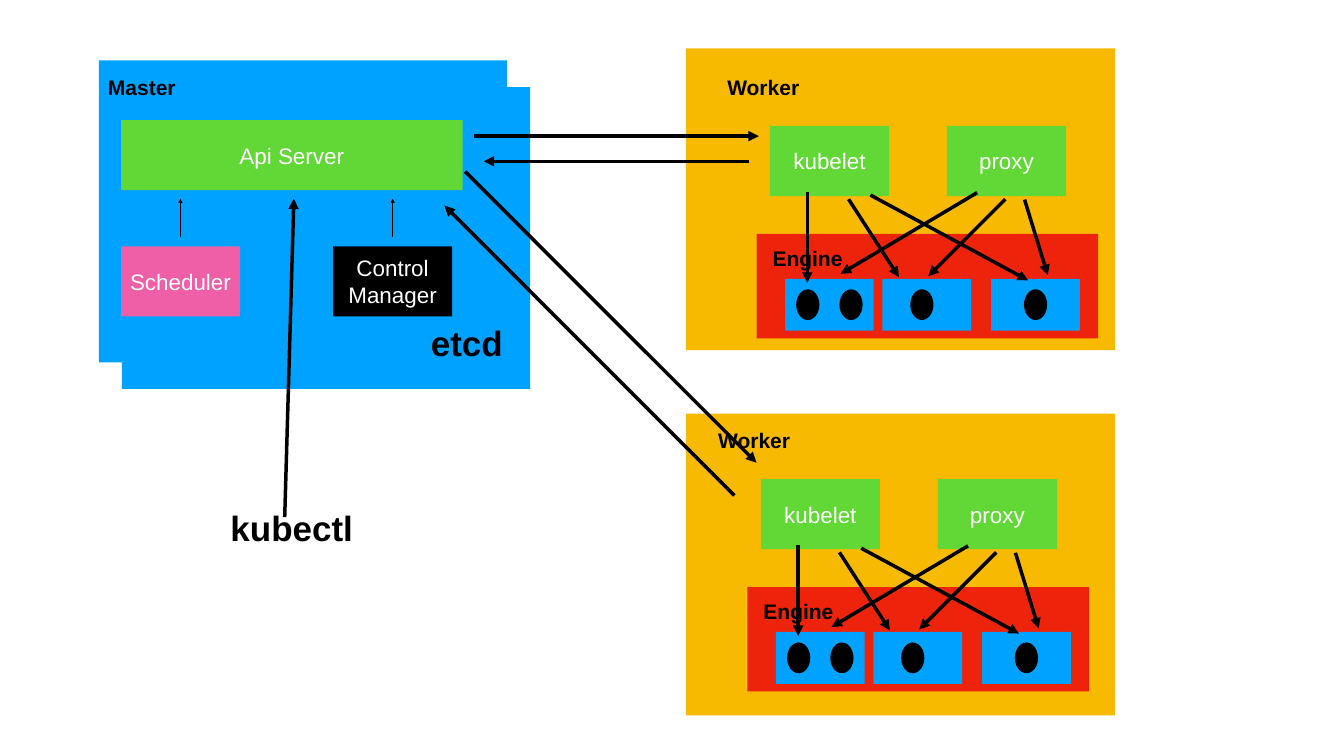
from dataclasses import dataclass

import pptx
import pptx.dml.color
import pptx.enum.shapes
import pptx.enum.text
import pptx.oxml
import pptx.oxml.ns
import pptx.util
from pptx.util import Cm

RGBColor = pptx.dml.color.RGBColor
BLUE = RGBColor(0x00, 0xA2, 0xFF)
AMBER = RGBColor(0xF7, 0xBA, 0x01)
GREEN = RGBColor(0x61, 0xD8, 0x36)
PINK = RGBColor(0xEF, 0x5F, 0xA7)
RED = RGBColor(0xEE, 0x23, 0x0C)
BLACK = RGBColor(0x00, 0x00, 0x00)
WHITE = RGBColor(0xFF, 0xFF, 0xFF)

RECTANGLE = pptx.enum.shapes.MSO_SHAPE.RECTANGLE
OVAL = pptx.enum.shapes.MSO_SHAPE.OVAL
FONT = "Arial"


@dataclass(frozen=True)
class Block:
    """A filled shape; lengths in centimetres."""
    left: float
    top: float
    width: float
    height: float
    fill: RGBColor
    text: str = ""
    outline: pptx.enum.shapes.MSO_SHAPE = RECTANGLE


@dataclass(frozen=True)
class Label:
    """Bold text; lengths in centimetres."""
    text: str
    left: float
    top: float
    width: float
    height: float = 1.55
    size: int = 30


@dataclass(frozen=True)
class Arrow:
    """A line with its head at the end point; lengths in centimetres."""
    x1: float
    y1: float
    x2: float
    y2: float
    weight: int = 5


@dataclass(frozen=True)
class Pod:
    left: float
    container_offsets: tuple[float, ...]


@dataclass(frozen=True)
class Worker:
    panel_top: float
    left: float
    top: float


COMPONENT_WIDTH, COMPONENT_HEIGHT = 6, 3.53
PANEL_HEIGHT = 15.21

MASTER_BLOCKS = [
    Block(6.15, 4.39, 20.57, PANEL_HEIGHT, BLUE),
    Block(4.98, 3.05, 20.57, PANEL_HEIGHT, BLUE),
    Block(6.1, 6.05, 17.22, COMPONENT_HEIGHT, GREEN, "Api Server"),
    Block(6.1, 12.42, COMPONENT_WIDTH, COMPONENT_HEIGHT, PINK, "Scheduler"),
    Block(16.79, 12.42, COMPONENT_WIDTH, COMPONENT_HEIGHT, BLACK, "Control\nManager"),
]
MASTER_LABELS = [
    Label("Master", 5.23, 3.61, 3.84),
    Label("etcd", 21.51, 16.05, 4.04, 2.39, 50),
    Label("kubectl", 11.43, 25.37, 6.55, 2.39, 50),
]
API_SERVER_ARROWS = [
    Arrow(9.09, 11.96, 9.09, 10.01, 2),
    Arrow(19.79, 11.96, 19.79, 10.01, 2),
    Arrow(14.35, 26.06, 14.81, 10.01),
    Arrow(37.74, 8.13, 24.38, 8.13),
    Arrow(23.88, 6.86, 38.25, 6.86),
    Arrow(23.44, 8.64, 38.13, 23.32),
    Arrow(37.01, 24.97, 22.4, 10.36),
]

WORKERS = [Worker(2.44, 36.5, 3.61), Worker(20.85, 36.04, 21.41)]
# Positions below are relative to the worker's label.
PODS = [Pod(3.07, (0.56, 2.74)), Pod(7.98, (1.4,)), Pod(13.46, (1.65,))]
POD_ARROWS = [
    Arrow(4.19, 6.07, 4.19, 10.64),
    Arrow(6.27, 6.43, 8.81, 10.36),
    Arrow(7.37, 6.22, 15.32, 10.52),
    Arrow(12.75, 6.1, 5.87, 10.19),
    Arrow(14.17, 6.43, 10.29, 10.31),
    Arrow(15.14, 6.45, 16.31, 10.26),
]


def write_text(frame, text: str, size: int, color: RGBColor, bold: bool, inset: float) -> None:
    frame.text = text
    frame.vertical_anchor = pptx.enum.text.MSO_ANCHOR.MIDDLE
    frame.margin_left = frame.margin_right = Cm(inset)
    frame.margin_top = frame.margin_bottom = Cm(inset)
    for paragraph in frame.paragraphs:
        paragraph.alignment = pptx.enum.text.PP_ALIGN.CENTER
        for run in paragraph.runs:
            run.font.name = FONT
            run.font.size = pptx.util.Pt(size)
            run.font.bold = bold
            run.font.color.rgb = color


def draw_block(slide, block: Block) -> None:
    shape = slide.shapes.add_shape(
        block.outline, Cm(block.left), Cm(block.top), Cm(block.width), Cm(block.height))
    shape.shadow.inherit = False
    shape.fill.solid()
    shape.fill.fore_color.rgb = block.fill
    shape.line.fill.background()
    if block.text:
        write_text(shape.text_frame, block.text, 32, WHITE, False, 0)


def draw_label(slide, label: Label) -> None:
    box = slide.shapes.add_textbox(
        Cm(label.left), Cm(label.top), Cm(label.width), Cm(label.height))
    box.text_frame.word_wrap = False
    box.text_frame.auto_size = pptx.enum.text.MSO_AUTO_SIZE.SHAPE_TO_FIT_TEXT
    write_text(box.text_frame, label.text, label.size, BLACK, True, 0.15)


def draw_arrow(slide, arrow: Arrow, left: float = 0, top: float = 0) -> None:
    connector = slide.shapes.add_connector(
        pptx.enum.shapes.MSO_CONNECTOR.STRAIGHT,
        Cm(left + arrow.x1), Cm(top + arrow.y1), Cm(left + arrow.x2), Cm(top + arrow.y2))
    connector.line.color.rgb = BLACK
    connector.line.width = pptx.util.Pt(arrow.weight)
    head = pptx.oxml.parse_xml(
        f'<a:tailEnd {pptx.oxml.ns.nsdecls("a")} type="triangle"/>')
    connector.line._get_or_add_ln().append(head)
    connector._element.spPr.append(
        pptx.oxml.parse_xml(f'<a:effectLst {pptx.oxml.ns.nsdecls("a")}/>'))


def draw_worker(slide, worker: Worker) -> None:
    x, y = worker.left, worker.top
    draw_block(slide, Block(34.57, worker.panel_top, 21.62, PANEL_HEIGHT, AMBER))
    draw_label(slide, Label("Worker", x, y, 3.94))
    draw_block(slide, Block(x + 1.63, y + 8.18, 17.22, 5.26, RED))
    draw_label(slide, Label("Engine", x + 2.21, y + 8.61, 3.99))
    for pod in PODS:
        pod_left = x + pod.left
        draw_block(slide, Block(pod_left, y + 10.44, 4.47, 2.62, BLUE))
        for offset in pod.container_offsets:
            draw_block(slide, Block(
                pod_left + offset, y + 10.97, 1.17, 1.55, BLACK, outline=OVAL))
    for name, offset in (("kubelet", 2.31), ("proxy", 11.23)):
        draw_block(slide, Block(
            x + offset, y + 2.74, COMPONENT_WIDTH, COMPONENT_HEIGHT, GREEN, name))
    for arrow in POD_ARROWS:
        draw_arrow(slide, arrow, x, y)


def main() -> None:
    presentation = pptx.Presentation()
    presentation.slide_width = Cm(67.74)
    presentation.slide_height = Cm(38.1)
    slide = presentation.slides.add_slide(presentation.slide_layouts[6])
    for block in MASTER_BLOCKS:
        draw_block(slide, block)
    for label in MASTER_LABELS:
        draw_label(slide, label)
    for worker in WORKERS:
        draw_worker(slide, worker)
    for arrow in API_SERVER_ARROWS:
        draw_arrow(slide, arrow)
    presentation.save("out.pptx")


if __name__ == "__main__":
    main()
